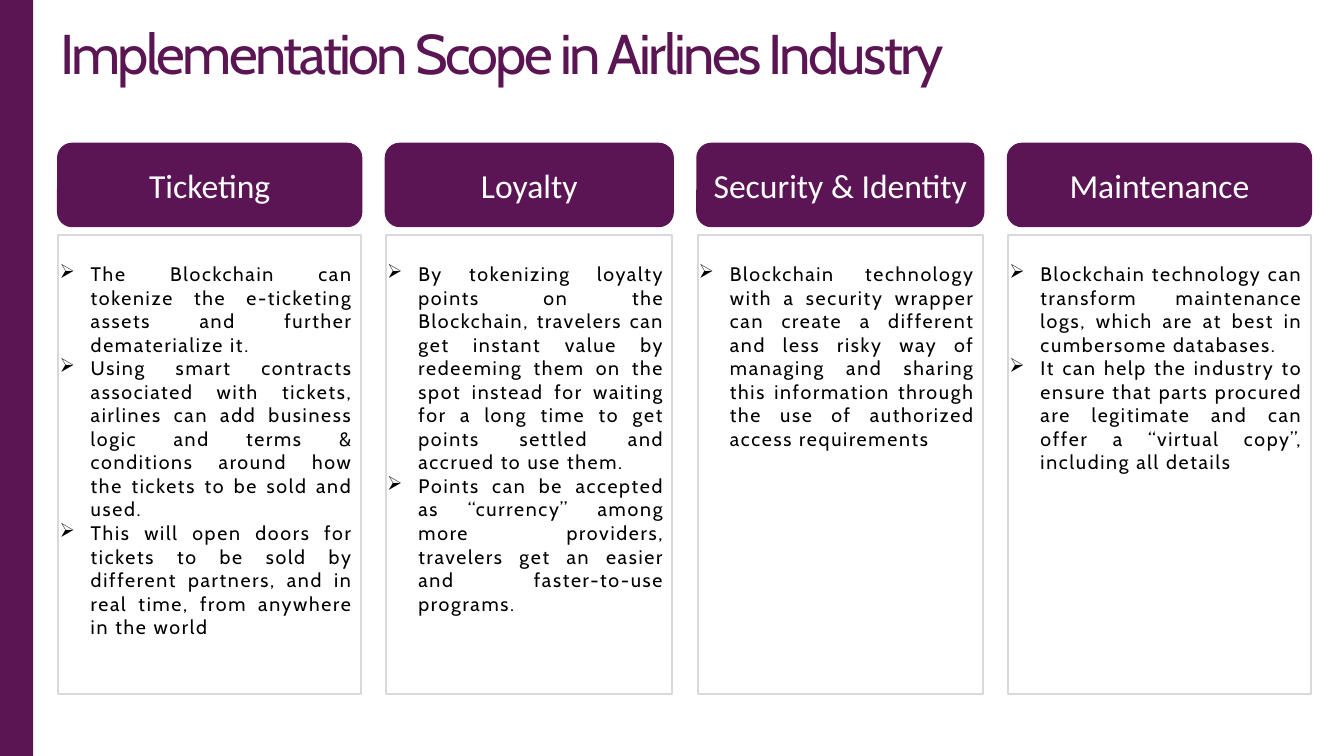
"""Build the slide on the implementation scope of blockchain in the airlines industry."""
from dataclasses import dataclass
from itertools import accumulate

from lxml.etree import SubElement
from pptx import Presentation
from pptx.dml.color import RGBColor
from pptx.enum.shapes import MSO_SHAPE as Preset
from pptx.enum.text import MSO_ANCHOR as Anchor, MSO_AUTO_SIZE as AutoSize, PP_ALIGN as Align
from pptx.oxml.ns import qn
from pptx.shapes.autoshape import Shape
from pptx.slide import Slide
from pptx.text.text import TextFrame, _Paragraph as Paragraph
from pptx.util import Emu, Inches, Pt

PLUM, WHITE, GREY, BLACK = "5B1554", "FFFFFF", "D9D9D9", "000000"
SIDEBAR = "5B1553"
MARGIN, GAP = 0.58, 0.25
HEADER_TOP, HEADER_HEIGHT = 1.43, 0.81
PANEL_TOP, PANEL_HEIGHT = 2.33, 4.56
BODY_TOP, BODY_HEIGHT = 2.58, 4.26
BULLET_INDENT = 0.31


@dataclass(frozen=True)
class Area:
    """One field of use: its column width, heading and points."""

    width: float
    heading: str
    points: tuple[str, ...]


AREAS = (
    Area(3, "Ticketing", (
        "The Blockchain can tokenize the e-ticketing assets and further dematerialize it.",
        "Using smart contracts associated with tickets, airlines can add business logic and "
        "terms & conditions around how the tickets to be sold and used.",
        "This will open doors for tickets to be sold by different partners, and in real time, "
        "from anywhere in the world",
    )),
    Area(2.84, "Loyalty", (
        "By tokenizing loyalty points on the Blockchain, travelers can get instant value by "
        "redeeming them on the spot instead for waiting for a long time to get points settled "
        "and accrued to use them.",
        "Points can be accepted as “currency” among more providers, travelers get an easier "
        "and faster-to-use programs.",
    )),
    Area(2.83, "Security & Identity", (
        "Blockchain technology with a security wrapper can create a different and less risky "
        "way of managing and sharing this information through the use of authorized access "
        "requirements",
    )),
    Area(3, "Maintenance", (
        "Blockchain technology can transform maintenance logs, which are at best in "
        "cumbersome databases.",
        "It can help the industry to ensure that parts procured are legitimate and can offer "
        "a “virtual copy”, including all details",
    )),
)


def color(value: str) -> RGBColor:
    """Turn a hex string into a colour."""
    return RGBColor.from_string(value)


def add_block(slide: Slide, preset: Preset, box: tuple[float, ...], fill: str,
              line: str | None = None, weight: float = 0) -> Shape:
    """Draw a filled shape, outlined when a line colour is given."""
    block = slide.shapes.add_shape(preset, *map(Inches, box))
    block.shadow.inherit = False
    block.fill.solid()
    block.fill.fore_color.rgb = color(fill)
    if line:
        block.line.color.rgb = color(line)
        block.line.width = Pt(weight)
    else:
        block.line.fill.background()
    return block


def add_run(paragraph: Paragraph, text: str, font: str, size: float, ink: str,
            tracking: float = 0) -> None:
    """Append a styled run with letter spacing in points."""
    run = paragraph.add_run()
    run.text = text
    run.font.name = font
    run.font.size = Pt(size)
    run.font.color.rgb = color(ink)
    if tracking:
        run.font._element.set("spc", str(round(tracking * 100)))


def add_frame(slide: Slide, box: tuple[float, ...], top_inset: float) -> TextFrame:
    """Add a wrapping text box with only a top inset."""
    frame = slide.shapes.add_textbox(*map(Inches, box)).text_frame
    frame.word_wrap = True
    frame.auto_size = AutoSize.SHAPE_TO_FIT_TEXT
    frame.margin_left = frame.margin_right = frame.margin_bottom = Emu(0)
    frame.margin_top = Inches(top_inset)
    return frame


def add_bullet(paragraph: Paragraph) -> None:
    """Give a paragraph a hanging arrowhead bullet."""
    properties = paragraph._p.get_or_add_pPr()
    properties.set("marL", str(Inches(BULLET_INDENT)))
    properties.set("indent", str(-Inches(BULLET_INDENT)))
    SubElement(properties, qn("a:buChar")).set("char", "➢")


def add_area(slide: Slide, area: Area, left: float) -> None:
    """Draw one column: panel, header and bulleted points."""
    add_block(slide, Preset.RECTANGLE, (left, PANEL_TOP, area.width, PANEL_HEIGHT),
              WHITE, GREY, 1.5)
    header = add_block(slide, Preset.ROUNDED_RECTANGLE,
                       (left, HEADER_TOP, area.width, HEADER_HEIGHT), PLUM, PLUM, 2).text_frame
    header.vertical_anchor = Anchor.MIDDLE
    header.paragraphs[0].alignment = Align.CENTER
    add_run(header.paragraphs[0], area.heading, "Calibri", 24, WHITE)

    body = add_frame(slide, (left + 0.01, BODY_TOP, area.width - 0.09, BODY_HEIGHT), 0.02)
    for index, point in enumerate(area.points):
        paragraph = body.add_paragraph() if index else body.paragraphs[0]
        paragraph.alignment = Align.JUSTIFY
        add_bullet(paragraph)
        add_run(paragraph, point, "Cabin", 14, BLACK, 1.2)


def main() -> None:
    """Build and save the slide."""
    deck = Presentation()
    deck.slide_width, deck.slide_height = Inches(13.33), Inches(7.5)
    slide = deck.slides.add_slide(deck.slide_layouts[6])
    add_block(slide, Preset.RECTANGLE, (0, 0, 0.33, 7.5), SIDEBAR)

    title = add_frame(slide, (0.6, 0.17, 10.24, 0.69), 0.01).paragraphs[0]
    title.space_before = Pt(0.9)
    add_run(title, "Implementation Scope in Airlines Industry", "Cabin", 40, SIDEBAR, -1.9)

    lefts = accumulate((area.width + GAP for area in AREAS), initial=MARGIN)
    for area, left in zip(AREAS, lefts):
        add_area(slide, area, left)
    deck.save("out.pptx")


main()
